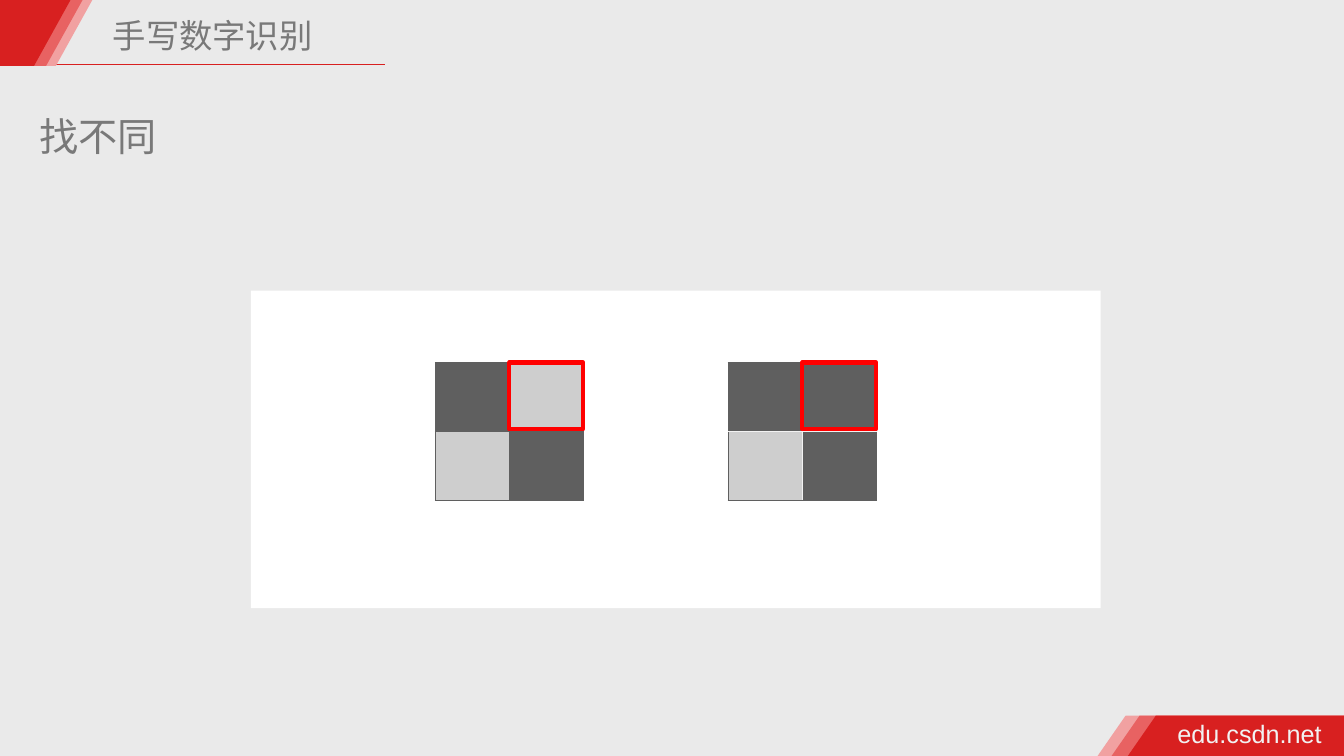
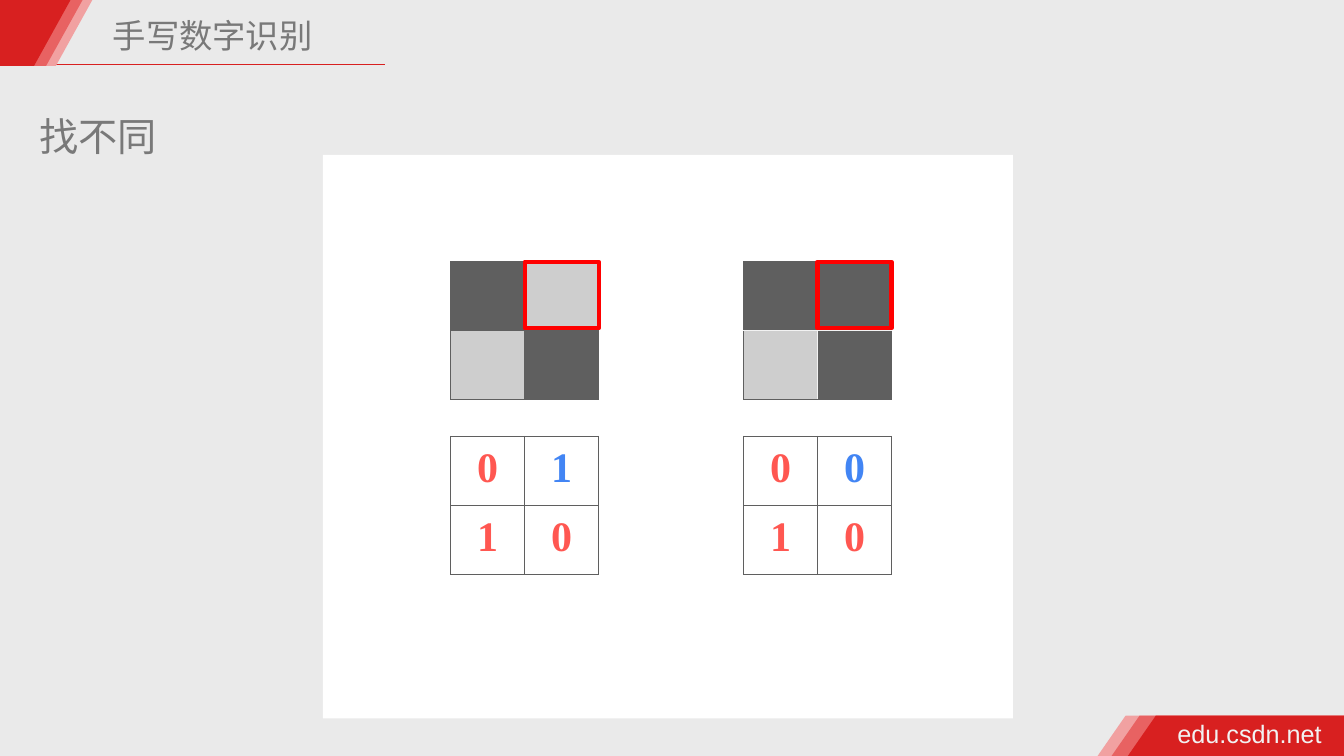
from lxml import etree
from pptx import Presentation
from pptx import util as u
from pptx.dml.color import RGBColor
from pptx.enum import shapes, text
from pptx.oxml import ns

Pt = u.Pt
COLORS = {
    "background": "EAEAEA", "panel": "FFFFFF", "red": "D82020",
    "mid_red": "E86262", "pale_red": "F1A1A1", "heading": "797979",
    "light": "F2F2F2", "dark_cell": "5F5F5F", "light_cell": "CECECE",
    "highlight": "FF0000", "digit": "FF5751", "changed_digit": "4285F4",
}
CJK, SANS, SERIF = "Noto Sans CJK SC", "Arial", "Times New Roman"
WIDTH, HEIGHT = 960, 540
CELL_W, CELL_H = 52.8, 49.3
HIGHLIGHT_H = 47.5
PAIR_STEP = 209.2
DIGITS_DROP = 124.8

TITLE, HEADING, FOOTER = "手写数字识别", "找不同", "edu.csdn.net"
# Each grid: digits by row (0 is a dark cell, 1 a light one) and inner border colour
GRIDS = [
    ([[0, 1], [1, 0]], "dark_cell"),
    ([[0, 0], [1, 0]], "light"),
]
CHANGED = (0, 1)
SLIDES = [
    {"panel": (179.3, 207.6, 607, 226.8), "grids": (311, 259), "digits": False},
    {"panel": (230.6, 110.6, 493, 402.5), "grids": (322, 187), "digits": True},
]
# Colour, top and bottom x of each slanted edge
HEADER_BANDS = [("pale_red", 66, 40), ("mid_red", 59, 33), ("red", 50.4, 24.4)]
FOOTER_BANDS = [("pale_red", 804, 784), ("mid_red", 814, 794), ("red", 825.6, 805.6)]
HEADER_H, FOOTER_TOP = 47, 511.2


def rgb(name):
    return RGBColor.from_string(COLORS[name])


def write(frame, words, *, size, font, color, bold=False, align=None, spacing=None):
    para = frame.paragraphs[0]
    para.alignment = align
    para.line_spacing = spacing
    span = para.add_run()
    span.text = words
    span.font.size = Pt(size)
    span.font.name = font
    span.font.bold = bold
    span.font.color.rgb = rgb(color)
    if font == CJK:
        east_asian = etree.SubElement(span.font._element, ns.qn("a:ea"))
        east_asian.set("typeface", font)


def add_text(slide, area, words, margins=(7.2, 3.6), wrap=False,
             anchor=text.MSO_ANCHOR.TOP, **style):
    frame = slide.shapes.add_textbox(*map(Pt, area)).text_frame
    frame.word_wrap = wrap
    frame.vertical_anchor = anchor
    frame.margin_left = frame.margin_right = Pt(margins[0])
    frame.margin_top = frame.margin_bottom = Pt(margins[1])
    write(frame, words, **style)


def add_box(slide, area, fill=None, line=None):
    box = slide.shapes.add_shape(shapes.MSO_SHAPE.RECTANGLE, *map(Pt, area))
    box.shadow.inherit = False
    if fill:
        box.fill.solid()
        box.fill.fore_color.rgb = rgb(fill)
    else:
        box.fill.background()
    if line:
        box.line.color.rgb = rgb(line)
        box.line.width = Pt(3)
    else:
        box.line.fill.background()


def add_band(slide, color, points):
    corners = [(Pt(x), Pt(y)) for x, y in points]
    builder = slide.shapes.build_freeform(*corners[0])
    builder.add_line_segments(corners[1:], close=True)
    band = builder.convert_to_shape()
    band.shadow.inherit = False
    band.fill.solid()
    band.fill.fore_color.rgb = rgb(color)
    band.line.fill.background()


def add_frame(slide):
    """Draw the background, bands, title, heading and footer that every slide has."""
    slide.background.fill.solid()
    slide.background.fill.fore_color.rgb = rgb("background")
    rule = slide.shapes.add_connector(
        shapes.MSO_CONNECTOR.STRAIGHT, Pt(35.3), Pt(46), Pt(275), Pt(46))
    rule.line.color.rgb = rgb("red")
    rule.line.width = Pt(1)
    etree.SubElement(rule._element.spPr, ns.qn("a:effectLst"))
    for color, top_x, bottom_x in FOOTER_BANDS:
        add_band(slide, color, [(top_x, FOOTER_TOP), (WIDTH, FOOTER_TOP),
                                (WIDTH, HEIGHT), (bottom_x, HEIGHT)])
    for color, top_x, bottom_x in HEADER_BANDS:
        add_band(slide, color, [(0, 0), (top_x, 0), (bottom_x, HEADER_H), (0, HEADER_H)])
    add_text(slide, (837.4, 509.8, 111.6, 28.8), FOOTER, margins=(3.6, 3.6),
             size=18, font=SANS, color="light")
    add_text(slide, (77, 3.6, 153.4, 40.3), TITLE, margins=(3.6, 3.6), wrap=True,
             anchor=text.MSO_ANCHOR.MIDDLE, size=23.8, font=CJK,
             color="heading", spacing=1.1)
    add_text(slide, (20.9, 77, 99.4, 41), HEADING, size=28, font=CJK, color="heading")


def set_borders(cell, colors):
    """Give the cell 1 pt borders, with colours in the order left, right, top, bottom."""
    properties = cell._tc.get_or_add_tcPr()
    for index, (side, color) in enumerate(zip("LRTB", colors)):
        line = etree.Element(ns.qn(f"a:ln{side}"), w=str(Pt(1)))
        fill = etree.SubElement(line, ns.qn("a:solidFill"))
        etree.SubElement(fill, ns.qn("a:srgbClr"), val=COLORS[color])
        properties.insert(index, line)


def add_grid(slide, left, top, digits, inner, show_digits=False):
    """Add a table whose cells show the digits, or else their shades of grey."""
    rows, cols = len(digits), len(digits[0])
    table = slide.shapes.add_table(
        rows, cols, Pt(left), Pt(top), Pt(cols * CELL_W), Pt(rows * CELL_H)).table
    table.first_row = table.horz_banding = False
    for column in table.columns:
        column.width = Pt(CELL_W)
    for r, row in enumerate(digits):
        table.rows[r].height = Pt(CELL_H)
        for c, digit in enumerate(row):
            cell = table.cell(r, c)
            if show_digits:
                cell.fill.background()
                cell.margin_left = cell.margin_right = Pt(12.2)
                cell.margin_top = cell.margin_bottom = Pt(5.8)
                write(cell.text_frame, str(digit), size=30, font=SERIF, bold=True,
                      color="changed_digit" if (r, c) == CHANGED else "digit",
                      align=text.PP_ALIGN.CENTER)
            else:
                cell.fill.solid()
                cell.fill.fore_color.rgb = rgb("light_cell" if digit else "dark_cell")
            outer_sides = (c == 0, c == cols - 1, r == 0, r == rows - 1)
            set_borders(cell, ["dark_cell" if outer else inner for outer in outer_sides])


def main():
    deck = Presentation()
    deck.slide_width, deck.slide_height = Pt(WIDTH), Pt(HEIGHT)
    changed_row, changed_col = CHANGED
    for content in SLIDES:
        slide = deck.slides.add_slide(deck.slide_layouts[6])
        add_frame(slide)
        add_box(slide, content["panel"], fill="panel")
        first_left, top = content["grids"]
        for index, (digits, inner) in enumerate(GRIDS):
            left = first_left + index * PAIR_STEP
            add_grid(slide, left, top, digits, inner)
            add_box(slide, (left + changed_col * CELL_W, top + changed_row * CELL_H,
                            CELL_W, HIGHLIGHT_H), line="highlight")
            if content["digits"]:
                add_grid(slide, left, top + DIGITS_DROP, digits, "dark_cell",
                         show_digits=True)
    deck.save("out.pptx")


if __name__ == "__main__":
    main()
